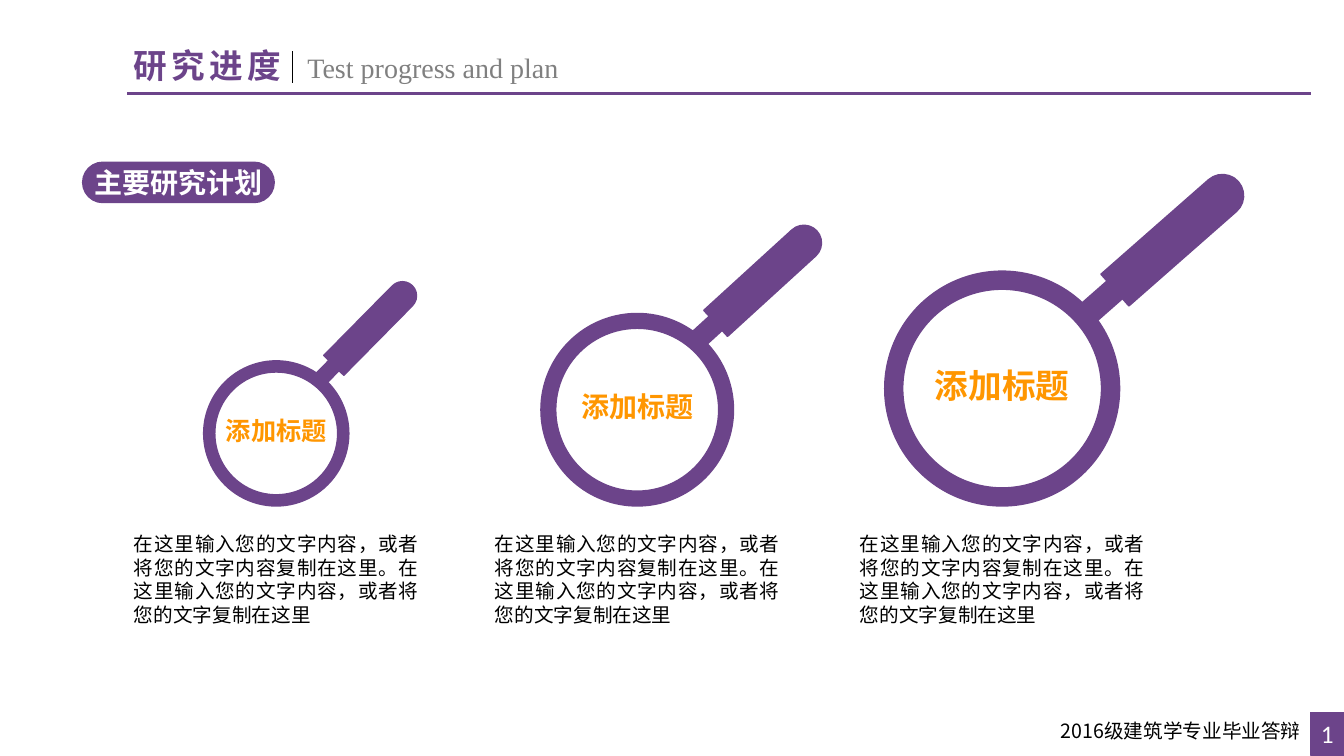
from dataclasses import dataclass

from lxml import etree
from pptx import Presentation
from pptx.dml.color import RGBColor
from pptx.enum.shapes import MSO_CONNECTOR, MSO_SHAPE
from pptx.enum.text import MSO_ANCHOR, PP_ALIGN
from pptx.oxml.ns import qn
from pptx.util import Inches, Pt

STRAIGHT = MSO_CONNECTOR.STRAIGHT
RECTANGLE = MSO_SHAPE.RECTANGLE
ROUNDED = MSO_SHAPE.ROUNDED_RECTANGLE
ROUND_TOP = MSO_SHAPE.ROUND_2_SAME_RECTANGLE
DONUT = MSO_SHAPE.DONUT
TOP, MIDDLE = MSO_ANCHOR.TOP, MSO_ANCHOR.MIDDLE
LEFT, CENTER, RIGHT, JUSTIFY = PP_ALIGN.LEFT, PP_ALIGN.CENTER, PP_ALIGN.RIGHT, PP_ALIGN.JUSTIFY


@dataclass(frozen=True)
class Theme:
    """Colours, fonts and type sizes of the slide."""
    purple: str = "6C448A"
    orange: str = "FF9600"
    grey: str = "808080"
    black: str = "000000"
    white: str = "FFFFFF"
    chinese: str = "Noto Sans CJK SC"
    serif: str = "Times New Roman"
    number: str = "Calibri"
    title: int = 24
    heading: int = 20
    page_number: int = 18
    body: int = 14


THEME = Theme()
BODY = "在这里输入您的文字内容，或者将您的文字内容复制在这里。在这里输入您的文字内容，或者将您的文字复制在这里"
BODY_WIDTH = 3.02
RING_BOTTOM = 5.02
# Ring centre x, ring diameter, handle centre, handle size, neck centre, tilt, caption size
MAGNIFIERS = [
    (2.74, 1.44, (3.7, 3.23), (0.28, 1.11), (3.24, 3.7), 44.6, 18),
    (6.32, 1.91, (7.6, 2.75), (0.35, 1.36), (7.02, 3.28), 47.6, 20),
    (9.94, 2.33, (11.67, 2.34), (0.42, 1.63), (10.96, 2.96), 48.7, 24),
]


def inches(box):
    """Turn a box of numbers into lengths."""
    return [Inches(value) for value in box]


def centred(centre, size):
    """Return the box of a given size around a centre."""
    return centre[0] - size[0] / 2, centre[1] - size[1] / 2, *size


def write(shape, text, size, color, font=THEME.chinese, bold=False, align=LEFT,
          anchor=TOP, wrap=True, spacing=0):
    """Put one formatted paragraph into a shape."""
    frame = shape.text_frame
    frame.text = text
    frame.word_wrap = wrap
    frame.vertical_anchor = anchor
    para = frame.paragraphs[0]
    para.alignment = align
    span = para.runs[0]
    span.font.size = Pt(size)
    span.font.bold = bold
    span.font.name = font
    span.font.color.rgb = RGBColor.from_string(color)
    properties = span.font._element
    etree.SubElement(properties, qn("a:ea")).set("typeface", font)
    if spacing:
        properties.set("spc", str(spacing * 100))


def add_text(page, box, text, size, color, **style):
    """Add a text box."""
    write(page.shapes.add_textbox(*inches(box)), text, size, color, **style)


def add_solid(shapes, kind, box, rotation=0, adjustment=None):
    """Add a purple preset shape."""
    shape = shapes.add_shape(kind, *inches(box))
    shape.shadow.inherit = False
    shape.fill.solid()
    shape.fill.fore_color.rgb = RGBColor.from_string(THEME.purple)
    shape.line.color.rgb = RGBColor.from_string(THEME.purple)
    shape.line.width = Pt(1)
    shape.rotation = rotation
    if adjustment is not None:
        shape.adjustments[0] = adjustment
    return shape


def add_line(page, ends, color, width):
    """Add a straight line without shadow."""
    line = page.shapes.add_connector(STRAIGHT, *inches(ends))
    line.line.color.rgb = RGBColor.from_string(color)
    line.line.width = Pt(width)
    etree.SubElement(line._element.spPr, qn("a:effectLst"))


def add_header(page, box):
    """Add the title, subtitle, divider and rule at the bottom of the box."""
    left, top, width, height = box
    add_line(page, (left, top + height, left + width, top + height), THEME.purple, 2.25)
    add_text(page, (left - 0.03, top, 1.72, 0.5), "研究进度", THEME.title, THEME.purple,
             bold=True, wrap=False, spacing=3)
    add_text(page, (left + 1.69, top + 0.05, 2.71, 0.44), "Test progress and plan",
             THEME.heading, THEME.grey, font=THEME.serif, wrap=False)
    add_line(page, (left + 1.64, top + 0.11, left + 1.64, top + 0.42), THEME.black, 0.5)


def add_section_label(page, box):
    """Add the pill that names the section."""
    pill = add_solid(page.shapes, ROUNDED, box, adjustment=0.5)
    frame = pill.text_frame
    frame.margin_left = frame.margin_right = frame.margin_top = frame.margin_bottom = 0
    write(pill, "主要研究计划", THEME.heading, THEME.white, bold=True,
          align=CENTER, anchor=MIDDLE)


def add_magnifier(page, ring, handle, handle_size, neck, tilt, caption_size):
    """Add a magnifier whose ring fills the box, with its caption and body text."""
    left, top, diameter, _ = ring
    center_x = left + diameter / 2
    parts = page.shapes.add_group_shape().shapes
    add_solid(parts, ROUND_TOP, centred(handle, handle_size), tilt, 0.5)
    add_solid(parts, RECTANGLE, centred(neck, (diameter * 0.1, handle_size[0])), tilt)
    add_solid(parts, DONUT, ring, adjustment=0.077)
    caption = centred((center_x, top + diameter / 2 - 0.03), (diameter, 0.44))
    add_text(page, caption, "添加标题", caption_size, THEME.orange, bold=True,
             align=CENTER, anchor=MIDDLE)
    body = (center_x - BODY_WIDTH / 2, top + diameter + 0.21, BODY_WIDTH, 1.04)
    add_text(page, body, BODY, THEME.body, THEME.black, align=JUSTIFY)


def add_footer(page, box):
    """Add the event name and the page number at the right end of the box."""
    left, top, width, height = box
    tile_width = 0.33
    tile = add_solid(page.shapes, RECTANGLE, (left + width - tile_width, top, tile_width, height))
    tile.text_frame.margin_left = tile.text_frame.margin_right = 0
    write(tile, "1", THEME.page_number, THEME.white, font=THEME.number,
          align=CENTER, anchor=MIDDLE)
    add_text(page, (left, top + 0.01, width - tile_width, 0.4), "2016级建筑学专业毕业答辩",
             THEME.body, THEME.black, align=RIGHT)


def build():
    """Build the research plan slide."""
    deck = Presentation()
    deck.slide_width, deck.slide_height = Inches(13.33), Inches(7.5)
    page = deck.slides.add_slide(deck.slide_layouts[6])
    add_section_label(page, (0.82, 1.61, 1.9, 0.4))
    add_header(page, (1.26, 0.4, 11.74, 0.53))
    for center_x, diameter, *details in MAGNIFIERS:
        ring = (center_x - diameter / 2, RING_BOTTOM - diameter, diameter, diameter)
        add_magnifier(page, ring, *details)
    add_footer(page, (10.1, 7.07, 3.23, 0.42))
    deck.save("out.pptx")


build()
